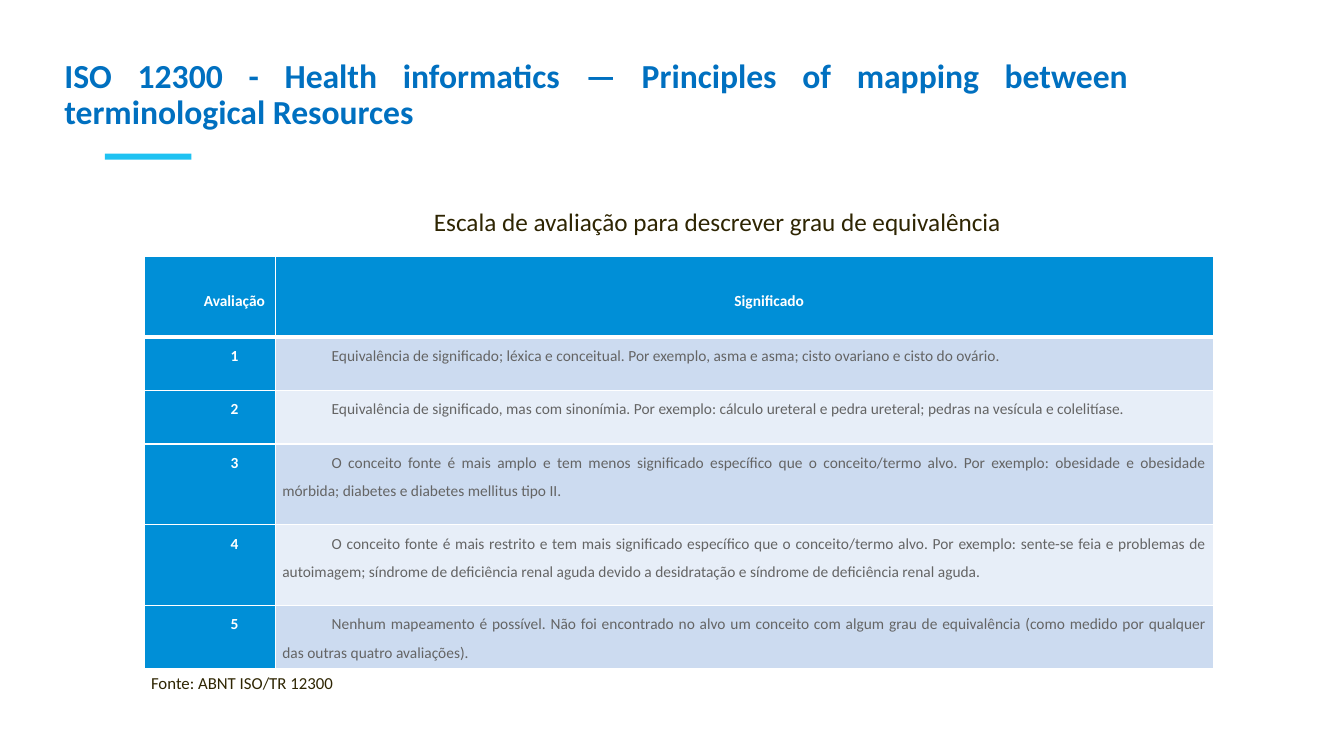
from lxml import etree
from pptx import Presentation
from pptx.dml.color import RGBColor
from pptx.enum.shapes import MSO_SHAPE
from pptx.enum.text import MSO_ANCHOR, PP_ALIGN
from pptx.oxml.ns import qn
from pptx.util import Emu, Inches, Pt

LEFT, CENTER, JUSTIFY = PP_ALIGN.LEFT, PP_ALIGN.CENTER, PP_ALIGN.JUSTIFY
TOP, MIDDLE = MSO_ANCHOR.TOP, MSO_ANCHOR.MIDDLE
RECTANGLE = MSO_SHAPE.RECTANGLE

COLORS = {
    "title": "0070C0",
    "accent": "1FC2F2",
    "dark": "2E2502",
    "header": "008FD7",
    "odd": "CCDBF0",
    "even": "E7EEF8",
    "body": "646464",
    "white": "FFFFFF",
}
FONT = "Calibri"
COLUMN_SHARES = (1.3, 9.31)
ROW_SHARES = (0.8, 0.53, 0.53, 0.8, 0.8, 0.62)
HEADINGS = ("Avaliação", "Significado")
MEANINGS = (
    "Equivalência de significado; léxica e conceitual. Por exemplo, asma e asma; "
    "cisto ovariano e cisto do ovário.",
    "Equivalência de significado, mas com sinonímia. Por exemplo: cálculo ureteral "
    "e pedra ureteral; pedras na vesícula e colelitíase.",
    "O conceito fonte é mais amplo e tem menos significado específico que o "
    "conceito/termo alvo. Por exemplo: obesidade e obesidade mórbida; diabetes e "
    "diabetes mellitus tipo II.",
    "O conceito fonte é mais restrito e tem mais significado específico que o "
    "conceito/termo alvo. Por exemplo: sente-se feia e problemas de autoimagem; "
    "síndrome de deficiência renal aguda devido a desidratação e síndrome de "
    "deficiência renal aguda.",
    "Nenhum mapeamento é possível. Não foi encontrado no alvo um conceito com algum "
    "grau de equivalência (como medido por qualquer das outras quatro avaliações).",
)


def rgb(name):
    return RGBColor.from_string(COLORS[name])


def write(frame, text, size=11, color="dark", bold=False, align=LEFT,
          spacing=1.0, indent=0):
    paragraph = frame.paragraphs[0]
    paragraph.alignment = align
    paragraph.line_spacing = spacing
    if indent:
        properties = paragraph._p.get_or_add_pPr()
        properties.set("marL", "0")
        properties.set("indent", str(Inches(indent)))
    run = paragraph.add_run()
    run.text = text
    run.font.name = FONT
    run.font.size = Pt(size)
    run.font.bold = bold
    run.font.color.rgb = rgb(color)


def add_label(slide, box, text, anchor=TOP, wrap=True, **style):
    frame = slide.shapes.add_textbox(*map(Inches, box)).text_frame
    frame.word_wrap = wrap
    frame.vertical_anchor = anchor
    write(frame, text, **style)


def add_title(slide, box):
    left, top, width, height = box
    accent = slide.shapes.add_shape(
        RECTANGLE, Inches(left + 0.5), Inches(top + 0.9 * height),
        Inches(0.08 * width), Inches(0.06))
    accent.shadow.inherit = False
    accent.fill.solid()
    accent.fill.fore_color.rgb = rgb("accent")
    accent.line.fill.background()
    add_label(
        slide, box,
        "ISO 12300 - Health informatics — Principles of mapping between "
        "terminological Resources",
        anchor=MIDDLE, size=24, color="title", bold=True, align=JUSTIFY, spacing=0.9)


def add_borders(cell, bottom):
    properties = cell._tc.get_or_add_tcPr()
    for side, points in (("L", 1), ("R", 1), ("T", 1), ("B", bottom)):
        border = etree.SubElement(properties, qn(f"a:ln{side}"), w=str(Pt(points)))
        solid = etree.SubElement(border, qn("a:solidFill"))
        etree.SubElement(solid, qn("a:srgbClr"), val=COLORS["white"])


def fill_cell(cell, text, fill, anchor=TOP, bottom=1, **style):
    add_borders(cell, bottom)
    cell.fill.solid()
    cell.fill.fore_color.rgb = rgb(fill)
    cell.margin_left = cell.margin_right = Inches(0.07)
    cell.margin_top = cell.margin_bottom = 0
    cell.vertical_anchor = anchor
    write(cell.text_frame, text, spacing=1.5, indent=0.49, **style)


def add_scale(slide, box):
    left, top, width, height = map(Inches, box)
    scale = slide.shapes.add_table(
        len(ROW_SHARES), len(COLUMN_SHARES), left, top, width, height).table
    for column, share in zip(scale.columns, COLUMN_SHARES):
        column.width = Emu(int(width * share / sum(COLUMN_SHARES)))
    for row, share in zip(scale.rows, ROW_SHARES):
        row.height = Emu(int(height * share / sum(ROW_SHARES)))
    strong = {"color": "white", "bold": True, "align": CENTER}
    for index, heading in enumerate(HEADINGS):
        fill_cell(scale.cell(0, index), heading, "header", MIDDLE, 3, **strong)
    for grade, meaning in enumerate(MEANINGS, 1):
        fill_cell(scale.cell(grade, 0), str(grade), "header", **strong)
        fill_cell(scale.cell(grade, 1), meaning, "odd" if grade % 2 else "even",
                  color="body", align=JUSTIFY)


def main():
    deck = Presentation()
    deck.slide_width, deck.slide_height = Inches(13.33), Inches(7.5)
    slide = deck.slides.add_slide(deck.slide_layouts[6])
    add_title(slide, (0.54, 0.22, 10.75, 1.45))
    add_scale(slide, (1.43, 2.54, 10.61, 4.09))
    add_label(slide, (2.3, 2, 9.63, 0.4),
              "Escala de avaliação para descrever grau de equivalência",
              size=18, align=CENTER)
    add_label(slide, (1.4, 6.62, 2.03, 0.3), "Fonte: ABNT ISO/TR 12300",
              wrap=False, size=12)
    deck.save("out.pptx")


if __name__ == "__main__":
    main()
